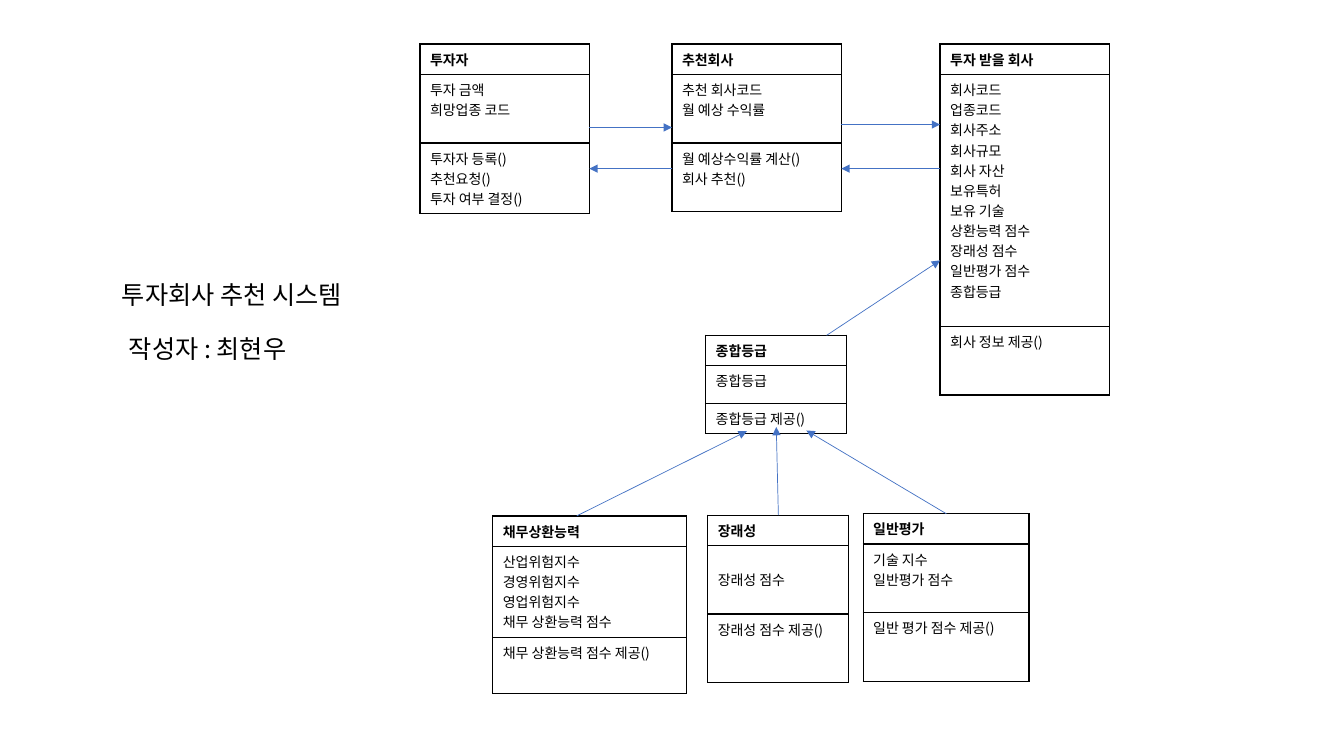
from lxml.etree import SubElement
from pptx import Presentation
from pptx.dml.color import RGBColor
from pptx.enum.shapes import MSO_CONNECTOR
from pptx.enum.text import MSO_ANCHOR, MSO_AUTO_SIZE
from pptx.oxml.ns import qn
from pptx.util import Pt

FONT = "Noto Sans CJK KR"
BLACK = RGBColor(0x00, 0x00, 0x00)
WHITE = RGBColor(0xFF, 0xFF, 0xFF)
BLUE = RGBColor(0x44, 0x72, 0xC4)
HEADER_HEIGHT = 21.5

# Content: name, attributes, operations, (left, top, width), (attribute and operation heights)
CLASSES = [
    ("투자자", ["투자 금액", "희망업종 코드"],
     ["투자자 등록()", "추천요청()", "투자 여부 결정()"], (300, 31.5, 121), (49, 50.5)),
    ("투자 받을 회사",
     ["회사코드", "업종코드", "회사주소", "회사규모", "회사 자산", "보유특허", "보유 기술",
      "상환능력 점수", "장래성 점수", "일반평가 점수", "종합등급"],
     ["회사 정보 제공()"], (671.5, 31.5, 121), (180, 49)),
    ("추천회사", ["추천 회사코드", "월 예상 수익률"],
     ["월 예상수익률 계산()", "회사 추천()"], (480, 31.5, 121), (49, 49)),
    ("채무상환능력", ["산업위험지수", "경영위험지수", "영업위험지수", "채무 상환능력 점수"],
     ["채무 상환능력 점수 제공()"], (352, 368.5, 138.5), (65, 40.5)),
    ("장래성", ["장래성 점수"],
     ["장래성 점수 제공()"], (505.5, 368, 100.5), (49, 49)),
    ("일반평가", ["기술 지수", "일반평가 점수"],
     ["일반 평가 점수 제공()"], (616.5, 367, 118.5), (49, 49)),
    ("종합등급", ["종합등급"],
     ["종합등급 제공()"], (504, 239.5, 100.5), (27, 21.5)),
]
CENTERED_ATTRIBUTES = {"장래성"}

# Arrows: start x, start y, end x, end y
ARROWS = [
    (421, 91, 480, 91), (601, 89, 671.5, 89),
    (671.5, 120.5, 601, 120.5), (480, 120.5, 421, 120.5),
    (412, 368.5, 533.5, 308), (556, 368, 554.5, 305),
    (676, 367, 576, 307.5), (590.5, 239.5, 671.5, 186),
]
TITLE_LINES = ["투자회사 추천 시스템", "작성자 : 최현우"]


def write_lines(text_frame, lines, size, bold=False):
    text_frame.text = "\n".join(lines)
    for paragraph in text_frame.paragraphs:
        for run in paragraph.runs:
            run.font.size = Pt(size)
            run.font.bold = bold
            run.font.name = FONT
            run.font.color.rgb = BLACK
            SubElement(run.font._element, qn("a:ea")).set("typeface", FONT)


def format_cell(cell):
    properties = cell._tc.get_or_add_tcPr()
    for side in ("lnL", "lnR", "lnT", "lnB"):
        border = SubElement(properties, qn("a:" + side), w=str(Pt(1)))
        color = SubElement(SubElement(border, qn("a:solidFill")), qn("a:srgbClr"))
        color.set("val", str(BLACK))
    cell.fill.solid()
    cell.fill.fore_color.rgb = WHITE


def add_class(slide, name, attributes, operations, place, heights):
    left, top, width = place
    row_heights = (HEADER_HEIGHT, *heights)
    frame = slide.shapes.add_table(3, 1, Pt(left), Pt(top), Pt(width), Pt(sum(row_heights)))
    table = frame.table
    for index, lines in enumerate(([name], attributes, operations)):
        table.rows[index].height = Pt(row_heights[index])
        cell = table.cell(index, 0)
        write_lines(cell.text_frame, lines, 10, bold=index == 0)
        format_cell(cell)
    if name in CENTERED_ATTRIBUTES:
        table.cell(1, 0).vertical_anchor = MSO_ANCHOR.MIDDLE


def add_arrow(slide, *ends):
    arrow = slide.shapes.add_connector(MSO_CONNECTOR.STRAIGHT, *map(Pt, ends))
    arrow.line.color.rgb = BLUE
    arrow.line.width = Pt(0.5)
    SubElement(arrow.line._get_or_add_ln(), qn("a:tailEnd"), type="triangle")
    SubElement(arrow._element.spPr, qn("a:effectLst"))


def add_title(slide):
    box = slide.shapes.add_textbox(Pt(80), Pt(196), Pt(191), Pt(73))
    text_frame = box.text_frame
    text_frame.word_wrap = False
    text_frame.auto_size = MSO_AUTO_SIZE.SHAPE_TO_FIT_TEXT
    write_lines(text_frame, TITLE_LINES, 18)
    author = text_frame.paragraphs[1]
    author.space_before = Pt(17)
    author._p.get_or_add_pPr().set("marL", str(Pt(5)))


def main():
    presentation = Presentation()
    presentation.slide_width = Pt(960)
    presentation.slide_height = Pt(540)
    slide = presentation.slides.add_slide(presentation.slide_layouts[6])

    # Class boxes, then the arrows between them, then the title
    for class_box in CLASSES:
        add_class(slide, *class_box)
    for ends in ARROWS:
        add_arrow(slide, *ends)
    add_title(slide)

    presentation.save("out.pptx")


if __name__ == "__main__":
    main()
